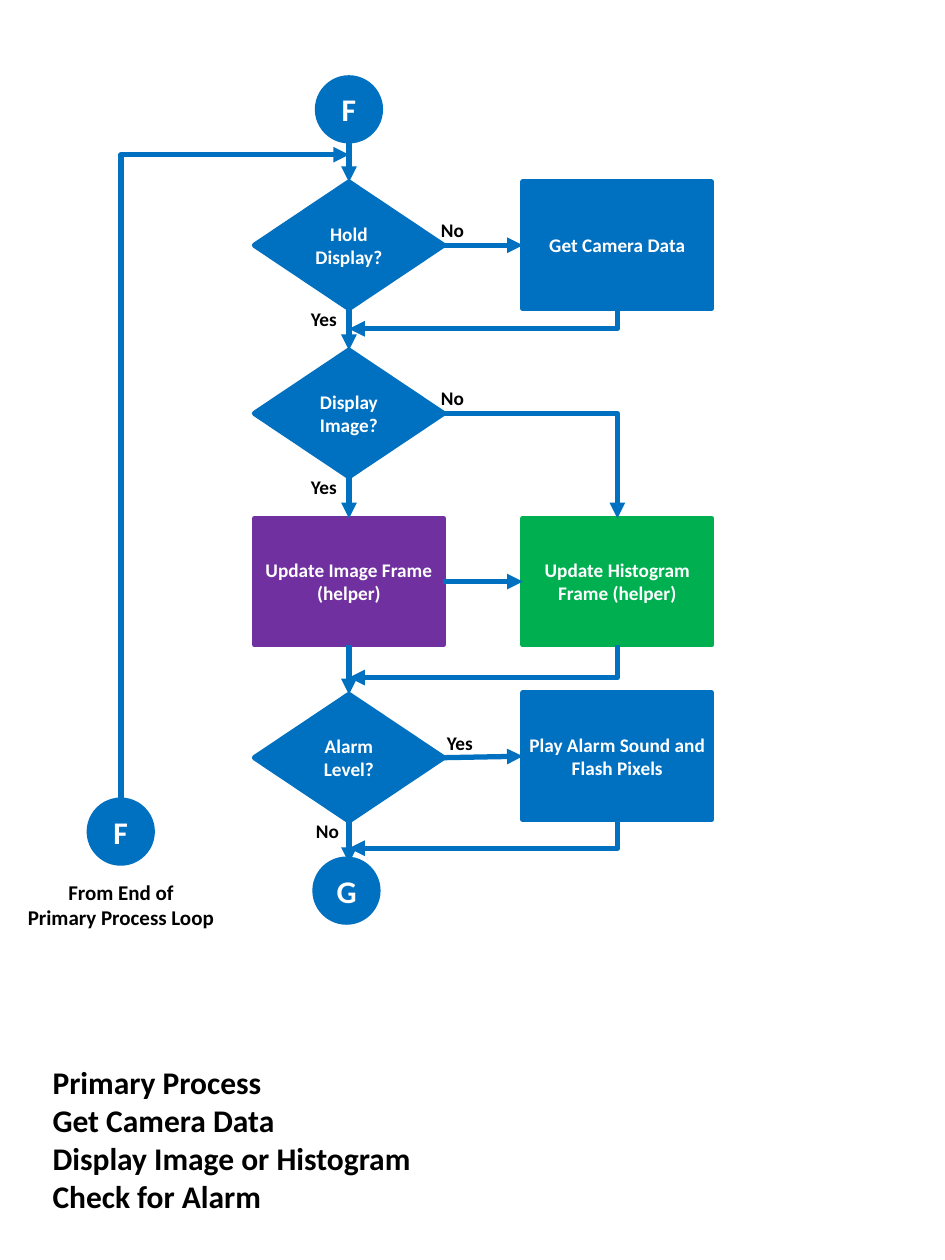
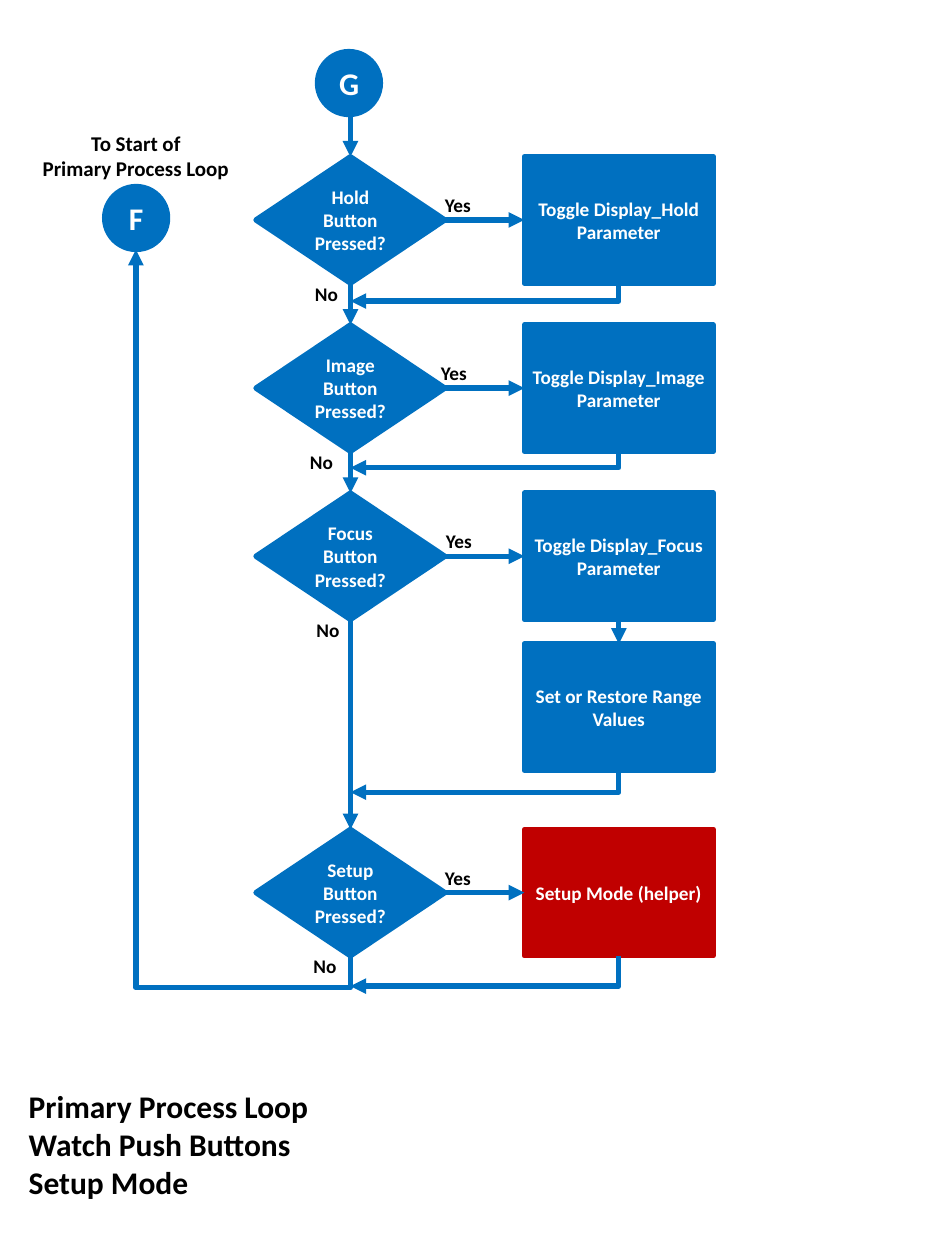
from lxml import etree
from pptx import Presentation
from pptx.dml.color import RGBColor
from pptx.enum import shapes, text
from pptx.oxml.ns import qn
from pptx.util import Cm, Pt

BLUE = RGBColor(0x00, 0x70, 0xC0)
PURPLE = RGBColor(0x70, 0x30, 0xA0)
GREEN = RGBColor(0x00, 0xB0, 0x50)
RED = RGBColor(0xC0, 0x00, 0x00)
WHITE = RGBColor(0xFF, 0xFF, 0xFF)
BLACK = RGBColor(0x00, 0x00, 0x00)

FONT = "Calibri"
STROKE = Pt(3)
CENTER = text.PP_ALIGN.CENTER
DECISION = shapes.MSO_SHAPE.FLOWCHART_DECISION
PROCESS = shapes.MSO_SHAPE.FLOWCHART_PROCESS
CIRCLE = shapes.MSO_SHAPE.OVAL
TOP, LEFT, BOTTOM, RIGHT = range(4)  # connection sites of a node

# Grid in centimetres
NODE_W, NODE_H = 3.81, 2.55
COLUMN_STEP, ROW_STEP = 5.41, 3.39
DISC = 1.27


def write(sp, content, size=11, color=BLACK, align=None, inset=None):
    """Fill a shape with bold text, one paragraph per line."""
    tf = sp.text_frame
    if inset is not None:
        tf.margin_left = tf.margin_right = Cm(inset)
        tf.margin_top = tf.margin_bottom = Cm(inset)
    for i, line in enumerate(content.split("\n")):
        p = tf.paragraphs[0] if i == 0 else tf.add_paragraph()
        p.alignment = align
        r = p.add_run()
        r.text = line
        r.font.name, r.font.size, r.font.bold = FONT, Pt(size), True
        r.font.color.rgb = color


def label(sl, left, top, width, height, content, wrap=False, **fmt):
    sp = sl.shapes.add_textbox(Cm(left), Cm(top), Cm(width), Cm(height))
    sp.text_frame.word_wrap = wrap
    sp.text_frame.auto_size = text.MSO_AUTO_SIZE.SHAPE_TO_FIT_TEXT
    write(sp, content, **fmt)


def node(sl, kind, left, top, content, fill=BLUE, width=NODE_W, height=NODE_H,
         size=11, inset=0.13):
    sp = sl.shapes.add_shape(kind, Cm(left), Cm(top), Cm(width), Cm(height))
    sp.shadow.inherit = False
    sp.fill.solid()
    sp.fill.fore_color.rgb = fill
    sp.line.color.rgb = fill
    sp.line.width = STROKE
    sp.text_frame.word_wrap = True
    sp.text_frame.vertical_anchor = text.MSO_ANCHOR.MIDDLE
    write(sp, content, size=size, color=WHITE, align=CENTER, inset=inset)
    return sp


def disc(sl, left, top, letter):
    return node(sl, CIRCLE, left, top, letter, width=DISC, height=DISC,
                size=18, inset=None)


# Arrows
def style_arrow(c):
    c.line.color.rgb = BLUE
    c.line.width = STROKE
    etree.SubElement(c.line._get_or_add_ln(), qn("a:tailEnd"), type="triangle")
    etree.SubElement(c._element.spPr, qn("a:effectLst"))


def arrow(sl, x1, y1, x2, y2):
    c = sl.shapes.add_connector(shapes.MSO_CONNECTOR.STRAIGHT,
                                Cm(x1), Cm(y1), Cm(x2), Cm(y2))
    style_arrow(c)


def link(sl, source, source_site, target, target_site):
    c = sl.shapes.add_connector(shapes.MSO_CONNECTOR.STRAIGHT, 0, 0, 0, 0)
    c.begin_connect(source, source_site)
    c.end_connect(target, target_site)
    style_arrow(c)


def elbow(sl, x1, y1, x2, y2, turned=True, flips=(), adjust=None):
    """Bent arrow; a turned one leaves its start vertically."""
    w, h = abs(x2 - x1), abs(y2 - y1)
    if turned:
        w, h = h, w
    left, top = (x1 + x2 - w) / 2, (y1 + y2 - h) / 2
    c = sl.shapes.add_connector(shapes.MSO_CONNECTOR.ELBOW, Cm(left), Cm(top),
                                Cm(left + w), Cm(top + h))
    xfrm = c._element.spPr.find(qn("a:xfrm"))
    if turned:
        xfrm.set("rot", "5400000")
    for flip in flips:
        xfrm.set(flip, "1")
    geom = c._element.spPr.find(qn("a:prstGeom"))
    if adjust is None:
        geom.set("prst", "bentConnector2")
    else:
        etree.SubElement(geom.find(qn("a:avLst")), qn("a:gd"),
                         name="adj1", fmla=f"val {adjust}")
    style_arrow(c)


# Regions of a flow chart
def flow_row(sl, left, top, first, second, kind=DECISION, first_fill=BLUE,
             second_fill=BLUE, second_top=None, linked=True):
    """A decision or process with the process to its right."""
    a = node(sl, kind, left, top, first, first_fill)
    b = node(sl, PROCESS, left + COLUMN_STEP,
             top if second_top is None else second_top, second, second_fill)
    if linked:
        link(sl, a, RIGHT, b, LEFT)
    return a, b


def answers(sl, left, top, side, side_x, down, down_x):
    """Answers beside the right and the lower corner of a decision."""
    for content, x, y in ((side, side_x, 0.61), (down, down_x, 2.4)):
        label(sl, left + x, top + y, 1.07 if content == "Yes" else 0.97, 0.74,
              content)


def rejoin(sl, left, top, drop):
    """From below the right-hand process back to the main column."""
    bottom = top + NODE_H
    elbow(sl, left + COLUMN_STEP + NODE_W / 2, bottom,
          left + NODE_W / 2, bottom + drop)


def caption(sl, left, top, content):
    label(sl, left, top, 8.64, 0.2 + 0.78 * len(content.split("\n")), content,
          wrap=True, size=18)


def loop_note(sl, left, top, content):
    label(sl, left, top, 4.32, 1.27, content, size=12, align=CENTER)


def camera_slide(prs):
    sl = prs.slides.add_slide(prs.slide_layouts[6])
    left, top = 5.13, 3.67
    axis = left + NODE_W / 2
    image_top, update_top, alarm_top = top + ROW_STEP, top + 2 * ROW_STEP, 14.0

    # Main column and the processes beside it
    hold, _ = flow_row(sl, left, top, "Hold Display?", "Get Camera Data")
    image = node(sl, DECISION, left, image_top, "Display Image?")
    update, histogram = flow_row(
        sl, left, update_top, "Update Image Frame (helper)",
        "Update Histogram Frame (helper)", kind=PROCESS,
        first_fill=PURPLE, second_fill=GREEN)
    alarm, _ = flow_row(sl, left, alarm_top, "Alarm Level?",
                        "Play Alarm Sound and Flash Pixels", second_top=13.97)
    for upper, lower in ((hold, image), (image, update), (update, alarm)):
        link(sl, upper, BOTTOM, lower, TOP)
    for row_top, drop in ((top, 0.41), (update_top, 0.66), (alarm_top, 0.55)):
        rejoin(sl, left, row_top, drop)
    elbow(sl, left + NODE_W, image_top + NODE_H / 2,
          axis + COLUMN_STEP, update_top, turned=False)

    # Entry, exit and the loop from the end
    disc(sl, axis - DISC / 2, 1.57, "F")
    arrow(sl, axis, 1.57 + DISC, axis, top)
    arrow(sl, axis, alarm_top + NODE_H, axis, 17.4)
    disc(sl, 6.35, 17.32, "G")
    elbow(sl, 2.44, 16.13, axis, 3.12, flips=("flipH", "flipV"), adjust=100000)
    disc(sl, 1.8, 16.13, "F")

    # Words
    loop_note(sl, 0.28, 17.6, "From End of\nPrimary Process Loop")
    answers(sl, left, top, "No", 3.51, "Yes", 0.89)
    answers(sl, left, image_top, "No", 3.51, "Yes", 0.89)
    answers(sl, left, alarm_top, "Yes", 3.63, "No", 0.99)
    caption(sl, 0.81, 21.31, "Primary Process\nGet Camera Data\n"
            "Display Image or Histogram\nCheck for Alarm")


def buttons_slide(prs):
    sl = prs.slides.add_slide(prs.slide_layouts[6])
    left, top = 5.16, 3.16
    axis = left + NODE_W / 2
    range_top = 12.98

    # Button name, its process, grid row, answer offsets
    rows = (
        ("Hold", "Toggle Display_Hold Parameter", BLUE, 0, 3.56, 0.94),
        ("Image", "Toggle Display_Image Parameter", BLUE, 1, 3.48, 0.84),
        ("Focus", "Toggle Display_Focus Parameter", BLUE, 2, 3.58, 0.97),
        ("Setup", "Setup Mode (helper)", RED, 4, 3.56, 0.91),
    )
    previous = None
    for button, process, fill, row, side_x, down_x in rows:
        y = top + row * ROW_STEP
        decision, action = flow_row(sl, left, y, f"{button} Button Pressed?",
                                    process, second_fill=fill)
        answers(sl, left, y, "Yes", side_x, "No", down_x)
        if previous:
            link(sl, previous, BOTTOM, decision, TOP)
        if button == "Focus":
            values = node(sl, PROCESS, left + COLUMN_STEP, range_top,
                          "Set or Restore Range Values")
            link(sl, action, BOTTOM, values, TOP)
        previous = decision
    setup_top = top + 4 * ROW_STEP
    for row_top, drop in ((top, 0.36), (top + ROW_STEP, 0.33),
                          (range_top, 0.44), (setup_top, 0.61)):
        rejoin(sl, left, row_top, drop)

    # Entry and the loop back to the start
    disc(sl, 6.4, 1.04, "G")
    arrow(sl, axis, 1.04 + DISC, axis, top)
    disc(sl, 2.11, 3.76, "F")
    elbow(sl, axis, setup_top + NODE_H, 2.74, 3.76 + DISC,
          flips=("flipH",), adjust=-4500)

    # Words
    loop_note(sl, 0.58, 2.51, "To Start of\nPrimary Process Loop")
    caption(sl, 0.33, 21.79,
            "Primary Process Loop\nWatch Push Buttons\nSetup Mode")


def main():
    prs = Presentation()
    prs.slide_width, prs.slide_height = Cm(19.05), Cm(25.4)
    camera_slide(prs)
    buttons_slide(prs)
    prs.save("out.pptx")


if __name__ == "__main__":
    main()
